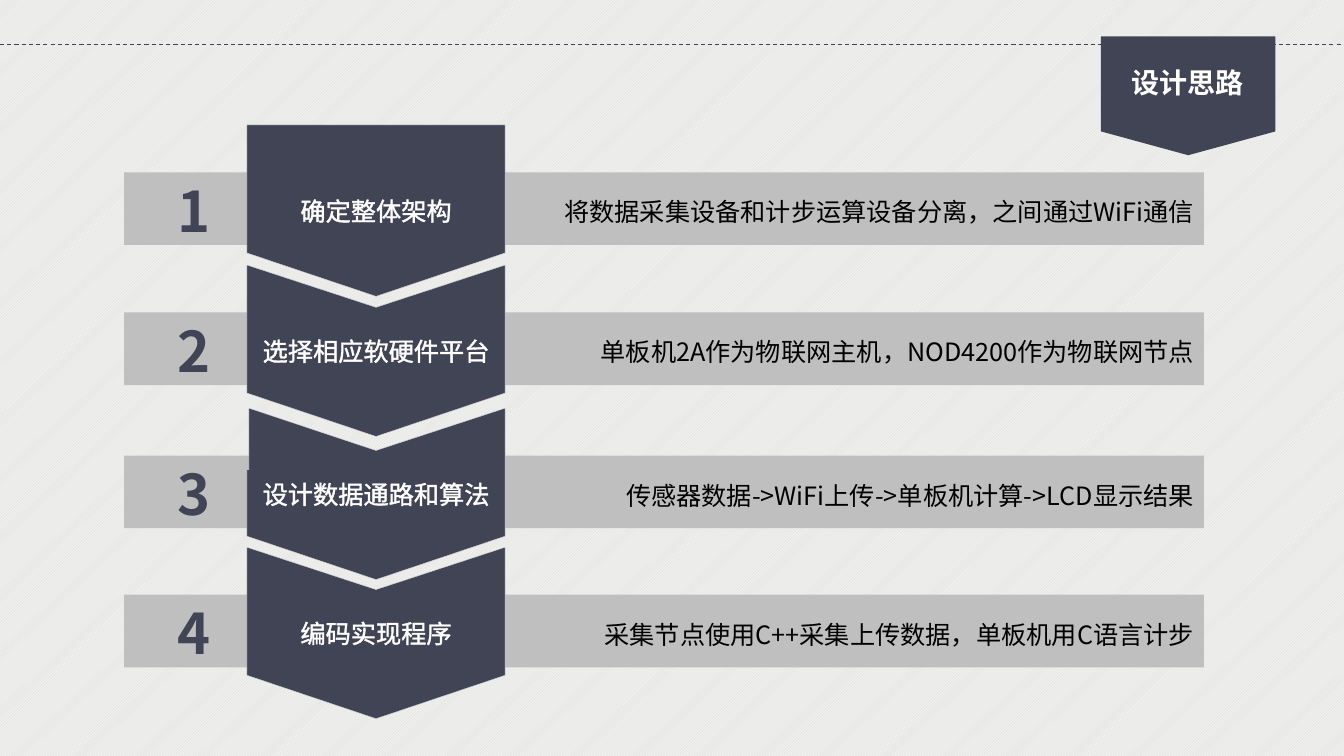
from dataclasses import dataclass

import lxml.etree
import pptx
import pptx.dml.color
import pptx.enum.dml
import pptx.enum.shapes
import pptx.enum.text
import pptx.oxml
import pptx.oxml.ns
import pptx.util
from pptx.util import Inches

ALIGN = pptx.enum.text.PP_ALIGN
ANCHOR = pptx.enum.text.MSO_ANCHOR
AUTO_SIZE = pptx.enum.text.MSO_AUTO_SIZE
SHAPE = pptx.enum.shapes.MSO_SHAPE
qn = pptx.oxml.ns.qn


@dataclass(frozen=True)
class Theme:
    font: str = "Noto Sans CJK SC"
    dark: str = "414455"
    bar: str = "BFBFBF"
    edge: str = "D7D7D7"
    paper: str = "E8E8E6"
    white: str = "FFFFFF"
    black: str = "000000"
    title: int = 20
    body: int = 18
    number: int = 40


THEME = Theme()
STEPS = [
    (1.24, "确定整体架构", "将数据采集设备和计步运算设备分离，之间通过WiFi通信"),
    (2.63, "选择相应软硬件平台", "单板机2A作为物联网主机，NOD4200作为物联网节点"),
    (4.05, "设计数据通路和算法", "传感器数据->WiFi上传->单板机计算->LCD显示结果"),
    (5.43, "编码实现程序", "采集节点使用C++采集上传数据，单板机用C语言计步"),
]
LEFT, MIDDLE, RIGHT = 2.45, 3.73, 5.01
NOTCH, SIDE, TIP = 0.42, 1.27, 1.7
BAR_DROP = 0.47


def rgb(value):
    return pptx.dml.color.RGBColor.from_string(value)


def paint(sp, fill, line=None):
    sp.shadow.inherit = False
    sp.fill.solid()
    sp.fill.fore_color.rgb = rgb(fill)
    if line:
        sp.line.color.rgb = rgb(line)
        sp.line.width = pptx.util.Pt(0.25)
    else:
        sp.line.fill.background()


def write(sp, text, size, color, align, anchor=ANCHOR.MIDDLE, bold=False):
    tf = sp.text_frame
    tf.word_wrap = True
    tf.vertical_anchor = anchor
    p = tf.paragraphs[0]
    p.alignment = align
    r = p.add_run()
    r.text = text
    r.font.size = pptx.util.Pt(size)
    r.font.bold = bold
    r.font.color.rgb = rgb(color)
    r.font.name = THEME.font
    ea = lxml.etree.SubElement(r.font._element, qn("a:ea"))
    ea.set("typeface", THEME.font)
    return p, r


def remove_side_margins(sp):
    sp.text_frame.margin_left = sp.text_frame.margin_right = 0


def outline_text(r, color):
    ln = pptx.oxml.parse_xml(
        '<a:ln xmlns:a="http://schemas.openxmlformats.org/drawingml/2006/main" w="9525">'
        f'<a:solidFill><a:srgbClr val="{color}"/></a:solidFill></a:ln>'
    )
    r.font._element.insert(0, ln)


def set_background(s):
    fill = s.background.fill
    fill.patterned()
    fill.pattern = pptx.enum.dml.MSO_PATTERN.LIGHT_UPWARD_DIAGONAL
    fill.fore_color.rgb = rgb(THEME.white)
    fill.back_color.rgb = rgb(THEME.paper)


def add_rule(s, y):
    line = s.shapes.add_connector(
        pptx.enum.shapes.MSO_CONNECTOR.STRAIGHT, 0, Inches(y), Inches(13.33), Inches(y)
    )
    line.line.color.rgb = rgb(THEME.dark)
    line.line.width = pptx.util.Pt(0.75)
    line.line.dash_style = pptx.enum.dml.MSO_LINE.DASH
    lxml.etree.SubElement(line._element.spPr, qn("a:effectLst"))


def add_title(s, text):
    tag = s.shapes.add_shape(
        SHAPE.FLOWCHART_OFFPAGE_CONNECTOR, Inches(10.92), Inches(0.36), Inches(1.73), Inches(1.18)
    )
    paint(tag, THEME.dark)
    title = s.shapes.title
    title.left, title.top = Inches(11.12), Inches(0.6)
    title.width, title.height = Inches(1.31), Inches(0.44)
    write(title, text, THEME.title, THEME.white, ALIGN.CENTER, bold=True)
    remove_side_margins(title)
    title.text_frame.auto_size = AUTO_SIZE.NONE
    tag._element.addnext(title._element)


def add_bar(s, top, text):
    bar = s.shapes.add_shape(SHAPE.RECTANGLE, Inches(1.23), Inches(top), Inches(10.71), Inches(0.72))
    paint(bar, THEME.bar)
    p, r = write(bar, text, THEME.body, THEME.black, ALIGN.RIGHT)
    p.line_spacing = 1.2


def add_number(s, top, number):
    box = s.shapes.add_textbox(Inches(1.39), Inches(top), Inches(1.07), Inches(0.77))
    write(box, str(number), THEME.number, THEME.dark, ALIGN.CENTER, ANCHOR.TOP, bold=True)
    box.text_frame.auto_size = AUTO_SIZE.SHAPE_TO_FIT_TEXT


def chevron_points(top, number):
    points = [(RIGHT, top), (RIGHT, top + SIDE), (MIDDLE, top + TIP), (LEFT, top + SIDE)]
    if number == 3:
        step = LEFT + 0.02
        points += [(LEFT, top + 0.61), (step, top + 0.61), (step, top)]
    else:
        points.append((LEFT, top))
    if number > 1:
        points.append((MIDDLE, top + NOTCH))
    return [(Inches(x), Inches(y)) for x, y in points]


def add_chevron(s, top, number, text):
    start, *rest = chevron_points(top, number)
    builder = s.shapes.build_freeform(*start)
    builder.add_line_segments(rest, close=True)
    sp = builder.convert_to_shape()
    paint(sp, THEME.dark, THEME.edge)
    p, r = write(sp, text, THEME.body, THEME.white, ALIGN.CENTER)
    outline_text(r, THEME.white)
    remove_side_margins(sp)


def main():
    prs = pptx.Presentation()
    prs.slide_width, prs.slide_height = Inches(13.33), Inches(7.5)
    s = prs.slides.add_slide(prs.slide_layouts[5])
    set_background(s)
    add_rule(s, 0.44)
    add_title(s, "设计思路")
    for number, (top, label, detail) in enumerate(STEPS, 1):
        add_bar(s, top + BAR_DROP, detail)
        add_number(s, top + BAR_DROP - 0.01, number)
    for number, (top, label, detail) in enumerate(STEPS, 1):
        add_chevron(s, top, number, label)
    prs.save("out.pptx")


if __name__ == "__main__":
    main()
